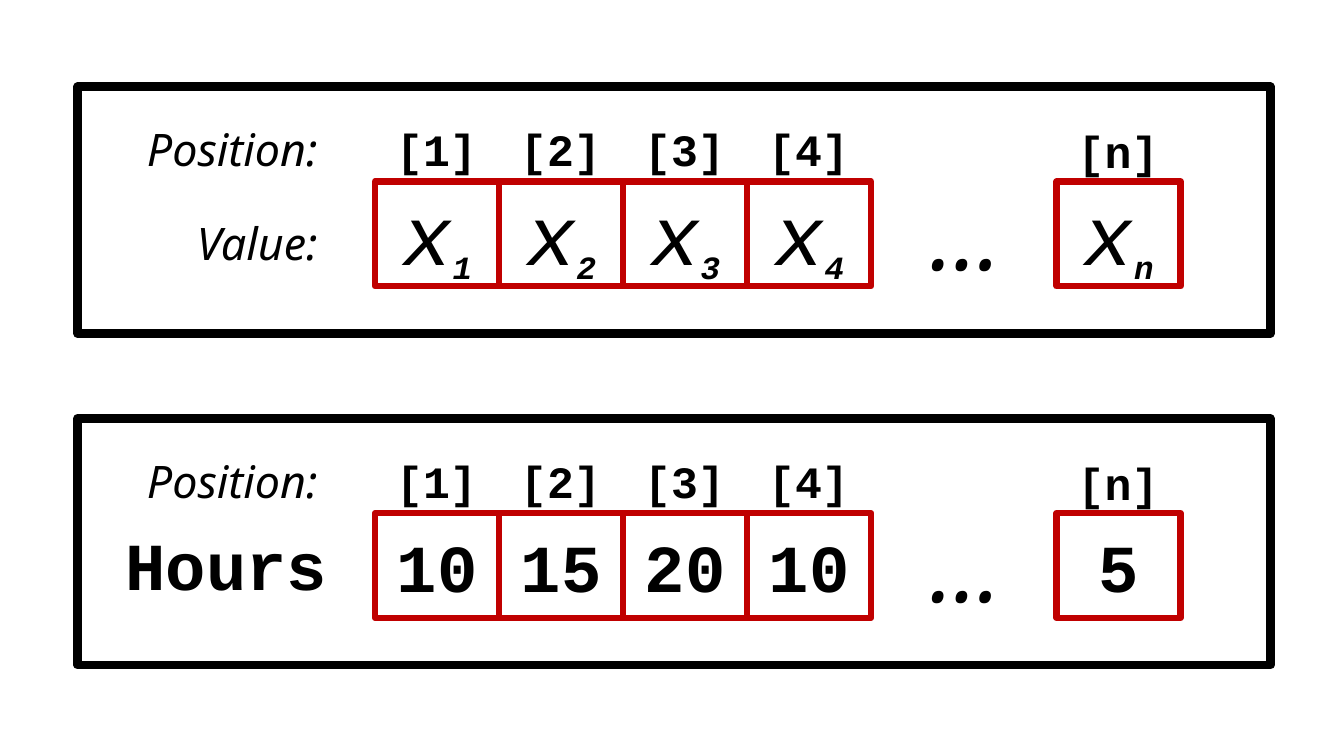
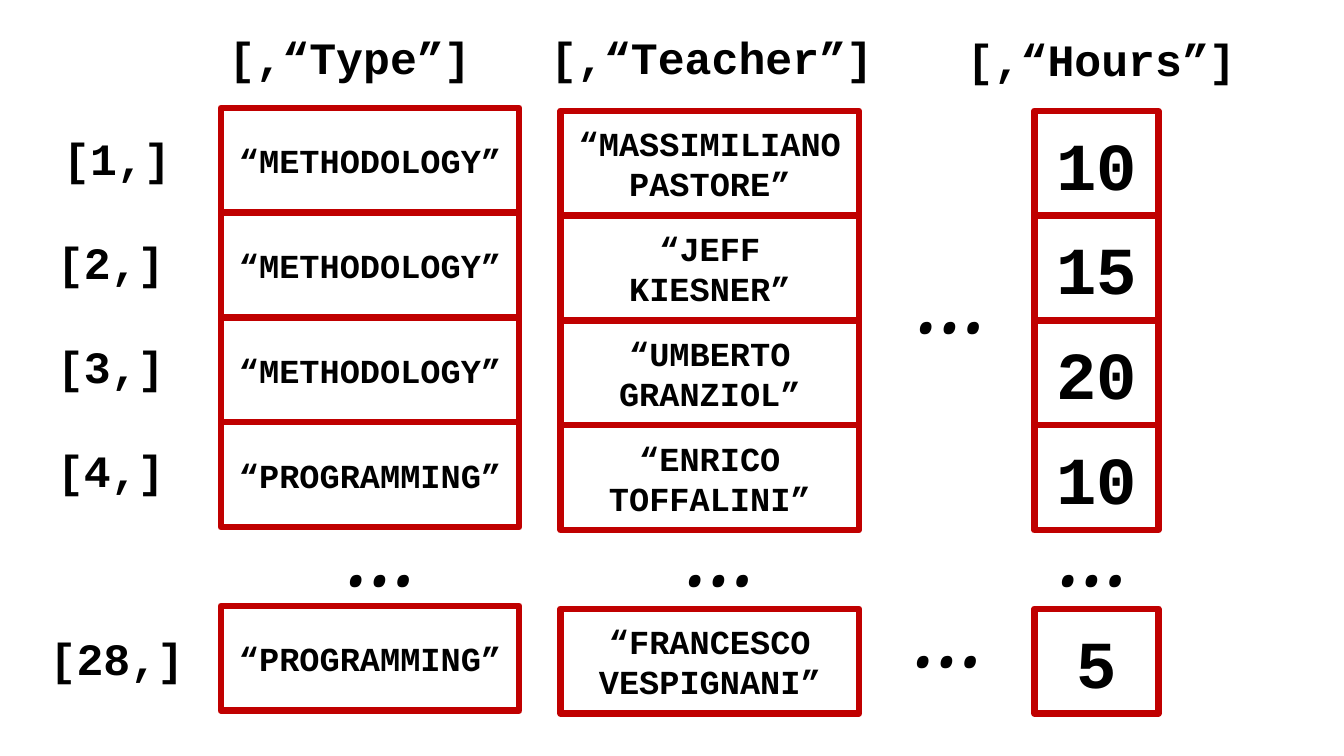
from pptx import Presentation
from pptx.dml.color import RGBColor
from pptx.enum.shapes import MSO_SHAPE
from pptx.enum.text import MSO_ANCHOR, MSO_AUTO_SIZE, PP_ALIGN
from pptx.util import Inches, Pt

BLACK = RGBColor(0x00, 0x00, 0x00)
WHITE = RGBColor(0xFF, 0xFF, 0xFF)
RED = RGBColor(0xC0, 0x00, 0x00)
MONO, SANS = "Courier New", "Noto Sans"

# Text styles: font, size, bold, italic, baseline shift in percent
INDEX = (MONO, 32, True, False, 0)
LABEL = (SANS, 32, False, True, 0)
DOTS = (SANS, 66, False, True, 0)
VALUE = (MONO, 48, True, False, 0)
WORD = (MONO, 24, True, False, 0)
LETTER = (MONO, 60, False, True, 0)
SUB = (MONO, 40, True, True, -25)

# Cell size shared by both slides
CELL_W, CELL_H = 1.23, 1.04


def write(frame, runs, align=PP_ALIGN.CENTER):
    """Fill a frame with one paragraph of (text, style) runs."""
    frame.word_wrap = True
    para = frame.paragraphs[0]
    para.alignment = align
    for text, (face, size, bold, slant, shift) in runs:
        run = para.add_run()
        run.text = text
        font = run.font
        font.name, font.size = face, Pt(size)
        font.bold, font.italic = bold, slant
        font.color.rgb = BLACK
        if shift:
            run._r.get_or_add_rPr().set("baseline", str(shift * 1000))


def add_text(slide, text, style, x, y, w, h=0.64, align=PP_ALIGN.CENTER):
    box = slide.shapes.add_textbox(Inches(x), Inches(y), Inches(w), Inches(h))
    write(box.text_frame, [(text, style)], align)
    box.text_frame.auto_size = MSO_AUTO_SIZE.SHAPE_TO_FIT_TEXT


def add_dots(slide, x, y):
    add_text(slide, "…", DOTS, x, y, 2.04, 1.21)


def add_rect(slide, x, y, w, h, color, weight):
    rect = slide.shapes.add_shape(
        MSO_SHAPE.RECTANGLE, Inches(x), Inches(y), Inches(w), Inches(h))
    rect.shadow.inherit = False
    rect.fill.background()
    rect.line.color.rgb = color
    rect.line.width = Pt(weight)
    return rect


def add_cell(slide, runs, x, y, w=CELL_W):
    frame = add_rect(slide, x, y, w, CELL_H, RED, 4.5).text_frame
    frame.vertical_anchor = MSO_ANCHOR.MIDDLE
    write(frame, runs)


def add_panel(slide, x, y, cells):
    """Framed vector: index labels above cells, a gap before the last."""
    frame = add_rect(slide, x, y, 11.83, 2.45, BLACK, 6)
    frame.fill.solid()
    frame.fill.fore_color.rgb = WHITE
    add_text(slide, "Position:", LABEL, x + 0.44, y + 0.3, 2.04,
             align=PP_ALIGN.RIGHT)
    for i, (mark, runs) in enumerate(zip("1234n", cells)):
        last = mark == "n"
        left = x + (9.71 if last else 2.95 + i * CELL_W)
        add_cell(slide, runs, left, y + 0.94)
        add_text(slide, f"[{mark}]", INDEX, left + 0.08,
                 y + (0.32 if last else 0.3), 1.06)
    add_dots(slide, x + 7.79, y + 0.86)


def add_column(slide, x, y, w, cells, style, dots):
    """Four stacked cells, dots, then the last cell."""
    for i, text in enumerate(cells):
        top = y + (4.94 if i == 4 else i * CELL_H)
        add_cell(slide, [(text, style)], x, top, w)
    add_dots(slide, dots, 4.85)


def add_rows(slide, x, y):
    """Row indices down the left side."""
    for i, mark in enumerate(["1", "2", "3", "4", "28"]):
        left = x if i in (0, 4) else x - 0.06
        top = y + (4.96 if i == 4 else i * 1.03)
        add_text(slide, f"[{mark},]", INDEX, left, top, 1.54)


def vector_slide(slide):
    x, high, low = 0.77, 0.86, 4.15
    add_panel(slide, x, high, [[("x", LETTER), (n, SUB)] for n in "1234n"])
    add_text(slide, "Value:", LABEL, x + 0.44, high + 1.23, 2.04,
             align=PP_ALIGN.RIGHT)
    hours = ["10", "15", "20", "10", "5"]
    add_panel(slide, x, low, [[(n, VALUE)] for n in hours])
    add_text(slide, "Hours", VALUE, x + 0.34, low + 0.99, 2.27, 0.91)


def frame_slide(slide):
    # Columns
    add_column(slide, 10.26, 1.1, CELL_W, ["10", "15", "20", "10", "5"],
               VALUE, 9.85)
    names = ["MASSIMILIANO PASTORE", "JEFF KIESNER", "UMBERTO GRANZIOL",
             "ENRICO TOFFALINI", "FRANCESCO VESPIGNANI"]
    kinds = ["METHODOLOGY"] * 3 + ["PROGRAMMING"] * 2
    for x, y, words, dots in [(5.56, 1.1, names, 6.15),
                              (2.19, 1.07, kinds, 2.79)]:
        add_column(slide, x, y, 2.96, [f"“{s}”" for s in words], WORD, dots)
    # Dots for the columns left out
    add_dots(slide, 8.44, 2.34)
    add_dots(slide, 8.41, 5.66)
    # Column and row indices
    for name, x, y, w in [("Type", 1.99, 0.25, 2.96),
                          ("Teacher", 5.17, 0.25, 3.78),
                          ("Hours", 9.18, 0.27, 3.49)]:
        add_text(slide, f"[,“{name}”]", INDEX, x, y, w)
    add_rows(slide, 0.39, 1.25)


def main():
    deck = Presentation()
    deck.slide_width, deck.slide_height = Inches(13.33), Inches(7.5)
    blank = deck.slide_layouts[6]
    for build in (vector_slide, frame_slide):
        build(deck.slides.add_slide(blank))
    deck.save("out.pptx")


if __name__ == "__main__":
    main()
